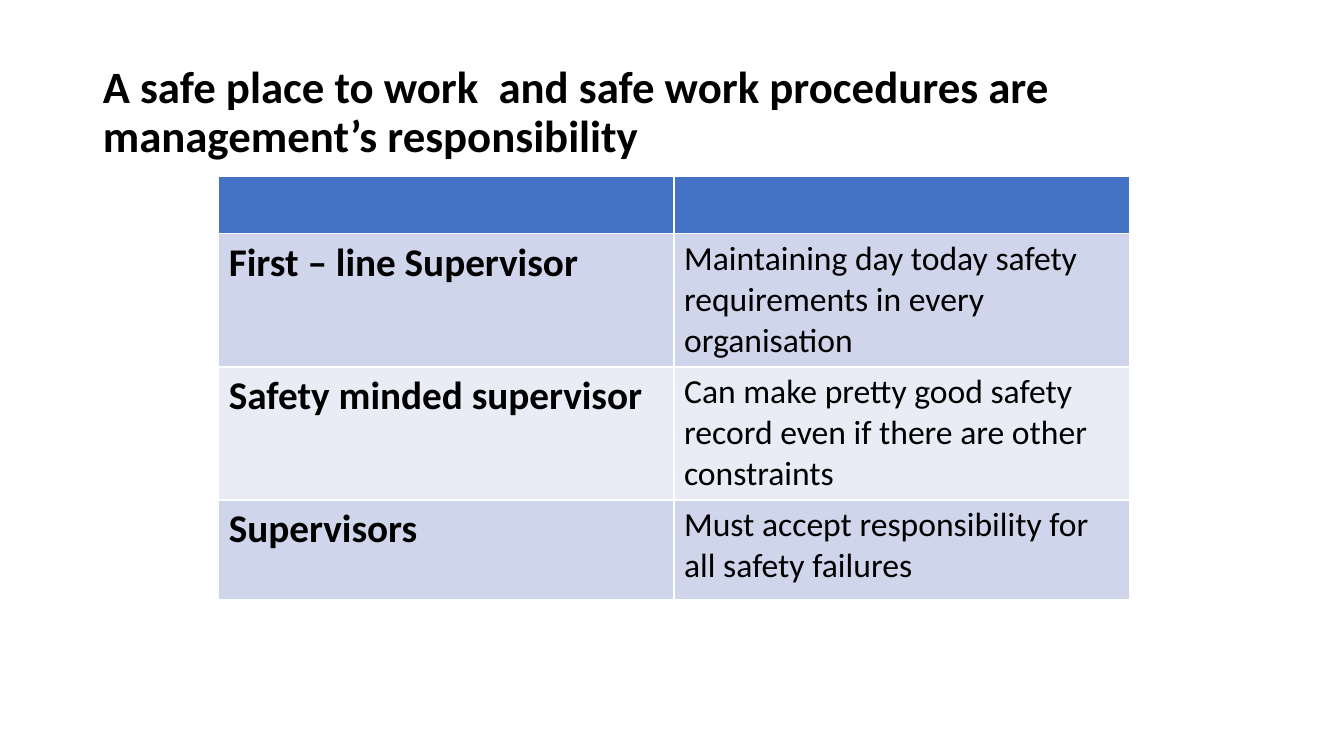
from pptx import Presentation
from pptx.dml.color import RGBColor
from pptx.enum.text import MSO_ANCHOR, PP_ALIGN
from pptx.util import Inches, Pt

BLACK = RGBColor(0x00, 0x00, 0x00)
BLUE = RGBColor(0x44, 0x72, 0xC4)
BAND = RGBColor(0xCF, 0xD5, 0xEA)
PALE = RGBColor(0xE9, 0xEB, 0xF5)
FONT = "Calibri"

TITLE = ("A safe place to work  and safe work procedures are "
         "management’s responsibility")
DUTIES = [
    ("First – line Supervisor",
     "Maintaining day today safety requirements in every organisation"),
    ("Safety minded supervisor",
     "Can make pretty good safety record even if there are other constraints"),
    ("Supervisors",
     "Must accept responsibility for all safety failures"),
]


def write(frame, text, size, bold):
    para = frame.paragraphs[0]
    run = para.add_run()
    run.text = text
    font = run.font
    font.name, font.size, font.bold = FONT, Pt(size), bold
    font.color.rgb = BLACK
    return para


def paint(cell, color):
    cell.fill.solid()
    cell.fill.fore_color.rgb = color


def add_title(slide, left, top, width, height):
    title = slide.shapes.title
    title.left, title.top = Inches(left), Inches(top)
    title.width, title.height = Inches(width), Inches(height)
    frame = title.text_frame
    frame.word_wrap = True
    frame.vertical_anchor = MSO_ANCHOR.MIDDLE
    para = write(frame, TITLE, 32, True)
    para.alignment = PP_ALIGN.LEFT
    para.line_spacing = 0.9


def add_duties(slide, left, top, width, head, row):
    count = len(DUTIES)
    table = slide.shapes.add_table(
        count + 1, 2, Inches(left), Inches(top),
        Inches(width), Inches(head + count * row)).table

    # Empty header row
    table.rows[0].height = Inches(head)
    for cell in table.rows[0].cells:
        paint(cell, BLUE)

    # Role and duty rows in alternating bands
    for i, (role, duty) in enumerate(DUTIES, 1):
        table.rows[i].height = Inches(row)
        for cell in table.rows[i].cells:
            paint(cell, BAND if i % 2 else PALE)
        write(table.cell(i, 0).text_frame, role, 28, True)
        write(table.cell(i, 1).text_frame, duty, 24, False)


def main():
    deck = Presentation()
    deck.slide_width, deck.slide_height = Inches(13.33), Inches(7.5)
    slide = deck.slides.add_slide(deck.slide_layouts[5])
    add_title(slide, 0.92, 0.4, 11.5, 1.45)
    add_duties(slide, 2.17, 1.75, 9.03, 0.57, 0.99)
    deck.save("out.pptx")


if __name__ == "__main__":
    main()
